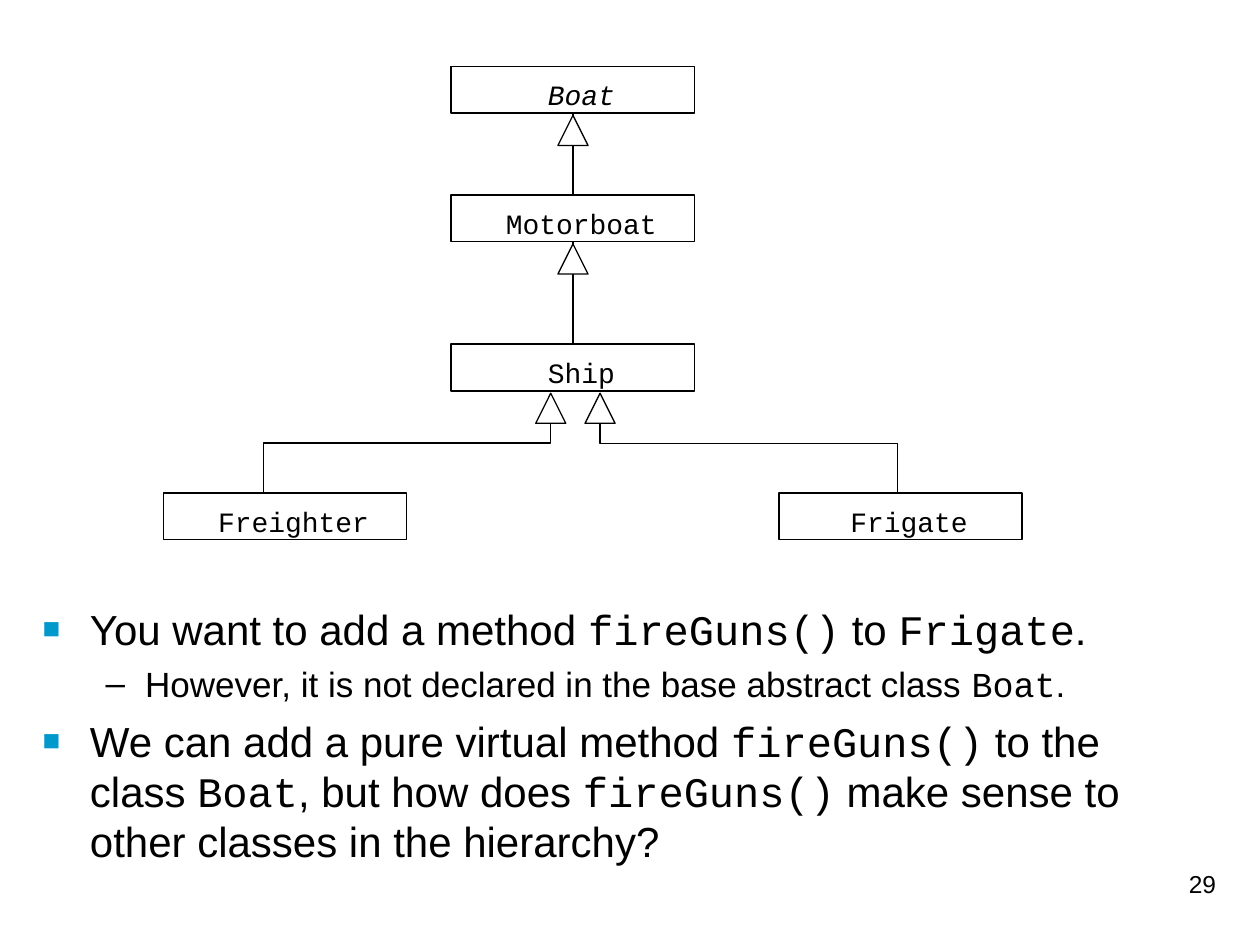
"""Build a slide with a boat class hierarchy and the design question it raises."""
from dataclasses import dataclass

from lxml.etree import SubElement
from pptx import Presentation
from pptx.dml.color import RGBColor
from pptx.enum.shapes import MSO_CONNECTOR as Link, MSO_SHAPE as Shape
from pptx.enum.text import MSO_ANCHOR as Anchor, PP_ALIGN as Align
from pptx.oxml.ns import qn
from pptx.util import Pt


@dataclass(frozen=True)
class Theme:
    ink: str = "000000"
    paper: str = "FFFFFF"
    accent: str = "0099CC"
    sans: str = "Arial"
    mono: str = "Courier New"
    class_size: float = 16
    body_size: float = 24
    detail_size: float = 20
    number_size: float = 14
    box_line: float = 1
    link_line: float = 0.75


THEME = Theme()
SLIDE = (720, 540)
BOX_WIDTH, BOX_HEIGHT = 139, 26.6
ARROW, ARROW_GAP = 17.2, 1.3
CLASSES = {
    "Boat": (257.9, 38),
    "Motorboat": (257.9, 111.5),
    "Ship": (257.9, 196.8),
    "Freighter": (93.4, 281.8),
    "Frigate": (445.1, 281.8),
}
ABSTRACT = {"Boat"}
STRAIGHT_LINKS = [("Motorboat", "Boat"), ("Ship", "Motorboat")]
BENT_LINKS = [("Freighter", 150.5, "Ship", 314.7), ("Frigate", 512.8, "Ship", 342.9)]
BODY = [
    (0, [("You want to add a method ", False), ("fireGuns()", True), (" to ", False),
         ("Frigate", True), (".", False)]),
    (1, [("However, it is not declared in the base abstract class ", False),
         ("Boat", True), (".", False)]),
    (0, [("We can add a pure virtual method ", False), ("fireGuns()", True),
         (" to the class ", False), ("Boat", True), (", but how does ", False),
         ("fireGuns()", True), (" make sense to other classes in the hierarchy?", False)]),
]
LEVELS = [
    dict(margin=27, hang=27, before=6, size=THEME.body_size,
         mark="■", mark_color=THEME.accent, mark_percent=70),
    dict(margin=58.5, hang=22.5, before=5, size=THEME.detail_size,
         mark="–", mark_color=THEME.ink, mark_percent=100),
]
PAGE_NUMBER = "29"


def color(value):
    return RGBColor.from_string(value)


def add_text(para, text, font=THEME.sans, size=THEME.body_size, italic=False):
    span = para.add_run()
    span.text = text
    span.font.name = font
    span.font.size = Pt(size)
    span.font.italic = italic
    span.font.color.rgb = color(THEME.ink)


def set_frame(shape, left=7.2, top=3.6, right=7.2, bottom=3.6):
    frame = shape.text_frame
    frame.word_wrap = True
    frame.vertical_anchor = Anchor.TOP
    frame.margin_left, frame.margin_top = Pt(left), Pt(top)
    frame.margin_right, frame.margin_bottom = Pt(right), Pt(bottom)
    return frame


def add_bullet(para, margin, hang, mark, mark_color, mark_percent):
    props = para._p.get_or_add_pPr()
    props.set("marL", str(Pt(margin)))
    props.set("indent", str(-Pt(hang)))
    SubElement(SubElement(props, qn("a:buClr")), qn("a:srgbClr"), val=mark_color)
    SubElement(props, qn("a:buSzPct"), val=str(mark_percent * 1000))
    SubElement(props, qn("a:buFont"), typeface=THEME.sans)
    SubElement(props, qn("a:buChar"), char=mark)


def add_outline(page, kind, left, top, width, height, line):
    shape = page.shapes.add_shape(kind, Pt(left), Pt(top), Pt(width), Pt(height))
    shape.shadow.inherit = False
    shape.fill.solid()
    shape.fill.fore_color.rgb = color(THEME.paper)
    shape.line.color.rgb = color(THEME.ink)
    shape.line.width = Pt(line)
    return shape


def add_class(page, name):
    box = add_outline(page, Shape.RECTANGLE, *CLASSES[name], BOX_WIDTH, BOX_HEIGHT,
                      THEME.box_line)
    para = set_frame(box, left=16.8, top=6.4, bottom=0).paragraphs[0]
    para.alignment = Align.CENTER
    add_text(para, name, font=THEME.mono, size=THEME.class_size, italic=name in ABSTRACT)
    return box


def add_link(page, kind, *ends):
    link = page.shapes.add_connector(kind, *(Pt(value) for value in ends))
    link.line.color.rgb = color(THEME.ink)
    link.line.width = Pt(THEME.link_line)
    SubElement(link._element.spPr, qn("a:effectLst"))
    return link


def add_arrow(page, parent, center):
    top = CLASSES[parent][1] + BOX_HEIGHT + ARROW_GAP
    add_outline(page, Shape.ISOSCELES_TRIANGLE, center - ARROW / 2, top, ARROW, ARROW,
                THEME.link_line)


def add_straight_link(page, boxes, child, parent):
    center = CLASSES[child][0] + BOX_WIDTH / 2
    bottom = CLASSES[parent][1] + BOX_HEIGHT
    link = add_link(page, Link.STRAIGHT, center, CLASSES[child][1], center, bottom)
    link.begin_connect(boxes[child], 0)
    link.end_connect(boxes[parent], 2)
    add_arrow(page, parent, center)


def add_bent_link(page, child, start, parent, end):
    """Lay the elbow out sideways, then turn it a quarter so it leaves upwards."""
    low, high = CLASSES[child][1], CLASSES[parent][1] + BOX_HEIGHT + ARROW_GAP
    middle_x, middle_y = (start + end) / 2, (low + high) / 2
    half_run, half_rise = (start - end) / 2, (low - high) / 2
    link = add_link(page, Link.ELBOW, middle_x + half_rise, middle_y - half_run,
                    middle_x - half_rise, middle_y + half_run)
    link._element.spPr.find(qn("a:xfrm")).set("rot", str(90 * 60000))
    add_arrow(page, parent, end)


def add_body(page):
    box = page.shapes.add_textbox(Pt(17.3), Pt(338.4), Pt(648.7), Pt(170))
    frame = set_frame(box, top=6.4)
    for index, (level, spans) in enumerate(BODY):
        para = frame.add_paragraph() if index else frame.paragraphs[0]
        style = dict(LEVELS[level])
        before, size = style.pop("before"), style.pop("size")
        para.level = level
        add_bullet(para, **style)
        para.space_before = Pt(before if index else 0)
        for text, is_code in spans:
            add_text(para, text, font=THEME.mono if is_code else THEME.sans, size=size)


def add_page_number(page):
    box = page.shapes.add_textbox(Pt(552), Pt(492), Pt(150), Pt(36))
    para = set_frame(box, top=4.6).paragraphs[0]
    para.alignment = Align.RIGHT
    add_text(para, PAGE_NUMBER, size=THEME.number_size)


def main():
    deck = Presentation()
    deck.slide_width, deck.slide_height = (Pt(side) for side in SLIDE)
    page = deck.slides.add_slide(deck.slide_layouts[6])
    boxes = {name: add_class(page, name) for name in CLASSES}
    for child, parent in STRAIGHT_LINKS:
        add_straight_link(page, boxes, child, parent)
    for bent in BENT_LINKS:
        add_bent_link(page, *bent)
    add_body(page)
    add_page_number(page)
    deck.save("out.pptx")


if __name__ == "__main__":
    main()
